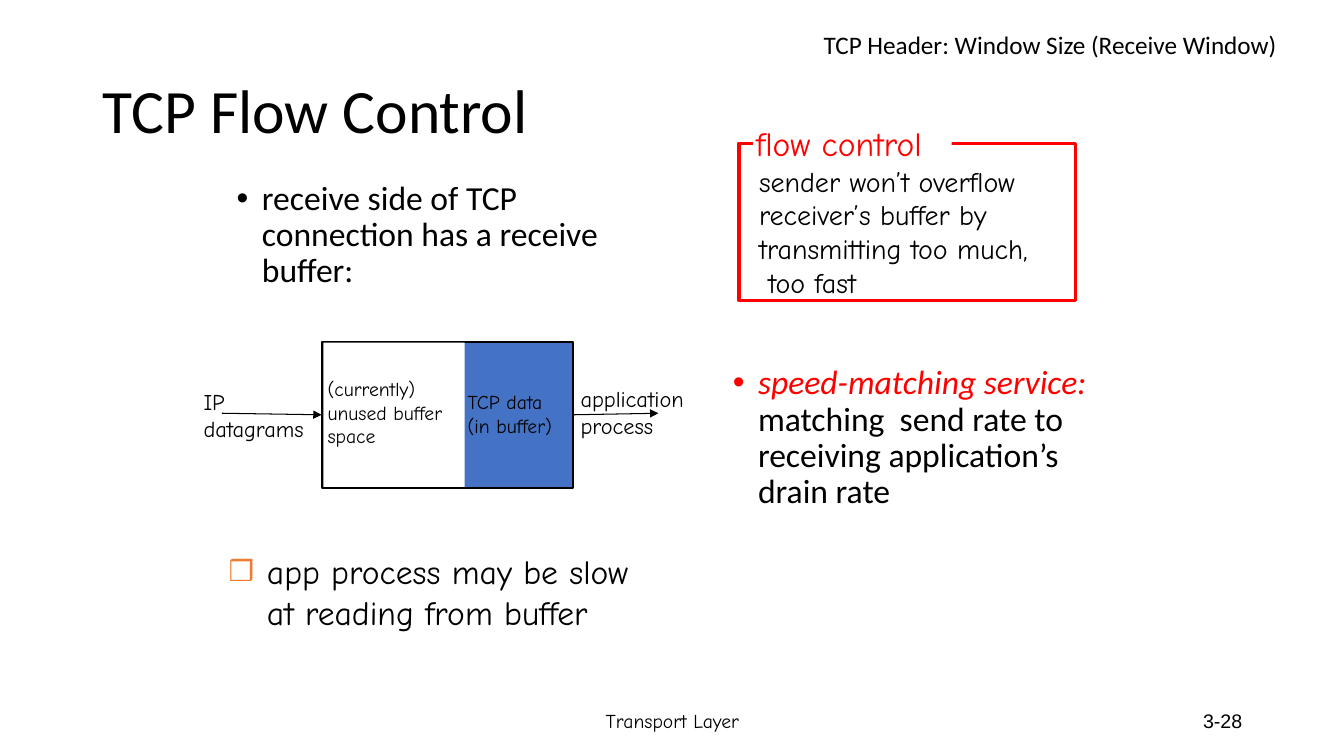
from dataclasses import dataclass

from lxml import etree
from pptx import Presentation
from pptx import util as u
from pptx.dml.color import RGBColor
from pptx.enum import shapes, text
from pptx.oxml import ns


@dataclass(frozen=True)
class Theme:
    black: str = "000000"
    white: str = "FFFFFF"
    red: str = "FF0000"
    blue: str = "4472C4"
    orange: str = "ED7D31"
    body_font: str = "Calibri"
    note_font: str = "Comic Neue"
    number_font: str = "Arial"
    title: int = 44
    body: int = 24
    definition: int = 20
    header: int = 18
    flow: int = 16
    small: int = 14


THEME = Theme()
ALIGN = text.PP_ALIGN
MIDDLE = text.MSO_ANCHOR.MIDDLE
LEFT_SIDE, RIGHT_SIDE = 3, 1


def inches(values):
    return [u.Inches(value) for value in values]


def set_values(target, values):
    for name, value in values.items():
        setattr(target, name, value)


def add_span(para, words, size, font, color=THEME.black, italic=False):
    span = para.add_run()
    span.text = words
    set_values(span.font, {"size": u.Pt(size), "name": font, "italic": italic})
    span.font.color.rgb = RGBColor.from_string(color)


def add_text(page, place, lines, size, font, color=THEME.black, wrap=True,
             anchor=text.MSO_ANCHOR.TOP, align=ALIGN.LEFT):
    frame = page.shapes.add_textbox(*inches(place)).text_frame
    set_values(frame, {"word_wrap": wrap, "vertical_anchor": anchor})
    for index, words in enumerate(lines):
        para = frame.add_paragraph() if index else frame.paragraphs[0]
        para.alignment = align
        add_span(para, words, size, font, color)


def add_bullet(page, place, spans, font, mark, indent, spacing, color, percent=100):
    frame = page.shapes.add_textbox(*inches(place)).text_frame
    frame.word_wrap = True
    para = frame.paragraphs[0]
    set_values(para, spacing)
    for words, span_color, italic in spans:
        add_span(para, words, THEME.body, font, span_color, italic)
    properties = para._p.get_or_add_pPr()
    properties.set("marL", str(u.Inches(indent)))
    properties.set("indent", str(-u.Inches(indent)))
    bullet_color = etree.SubElement(properties, ns.qn("a:buClr"))
    etree.SubElement(bullet_color, ns.qn("a:srgbClr"), val=color)
    etree.SubElement(properties, ns.qn("a:buSzPct"), val=str(percent * 1000))
    etree.SubElement(properties, ns.qn("a:buFont"), typeface="Arial")
    etree.SubElement(properties, ns.qn("a:buChar"), char=mark)


def add_box(page, place, fill, line=None, width=0):
    box = page.shapes.add_shape(shapes.MSO_SHAPE.RECTANGLE, *inches(place))
    box.shadow.inherit = False
    box.fill.solid()
    box.fill.fore_color.rgb = RGBColor.from_string(fill)
    if line:
        box.line.color.rgb = RGBColor.from_string(line)
        box.line.width = u.Pt(width)
    else:
        box.line.fill.background()
    return box


def add_arrow(page, start, end):
    arrow = page.shapes.add_connector(shapes.MSO_CONNECTOR.STRAIGHT, *inches(start + end))
    arrow.line.color.rgb = RGBColor.from_string(THEME.black)
    arrow.line.width = u.Pt(0.75)
    etree.SubElement(arrow.line._get_or_add_ln(), ns.qn("a:tailEnd"), type="triangle")
    etree.SubElement(arrow._element.spPr, ns.qn("a:effectLst"))
    return arrow


def set_title(page, words):
    title = page.shapes.title
    left, top, width, height = inches((0.92, 0.4, 11.5, 1.45))
    set_values(title, {"left": left, "top": top, "width": width, "height": height})
    set_values(title.text_frame, {"vertical_anchor": MIDDLE, "word_wrap": True,
                                  "auto_size": text.MSO_AUTO_SIZE.NONE})
    para = title.text_frame.paragraphs[0]
    set_values(para, {"alignment": ALIGN.LEFT, "line_spacing": 0.9})
    add_span(para, words, THEME.title, THEME.body_font)


def add_points(page):
    spacing = {"line_spacing": 0.9, "space_before": u.Pt(10)}
    add_bullet(page, (2.25, 1.75, 4.17, 1.42),
               [("receive side of TCP connection has a receive buffer:", THEME.black, False)],
               THEME.body_font, "•", 0.25, spacing, THEME.black)
    add_bullet(page, (7.17, 3.58, 4.17, 3.17),
               [("speed-matching service:", THEME.red, True),
                (" matching  send rate to receiving application’s drain rate", THEME.black, False)],
               THEME.body_font, "•", 0.25, spacing, THEME.red)
    add_bullet(page, (2.17, 5.42, 4.17, 1.42),
               [("app process may be slow at reading from buffer", THEME.black, False)],
               THEME.note_font, "❒", 0.38, {"space_before": u.Pt(5)}, THEME.orange, 85)


def add_definition(page):
    add_box(page, (7.33, 1.42, 3.34, 1.56), THEME.white, THEME.red, 2.25)
    add_text(page, (7.43, 1.58, 3.14, 1.43),
             ["sender won’t overflow", "receiver’s buffer by",
              "transmitting too much,", " too fast"], THEME.definition, THEME.note_font)
    add_box(page, (7.47, 1.21, 1.97, 0.39), THEME.white)
    add_text(page, (7.4, 1.17, 2.07, 0.5), ["flow control"],
             THEME.body, THEME.note_font, THEME.red, wrap=False)


def add_buffer(page):
    buffer = add_box(page, (3.19, 3.39, 2.49, 1.45), THEME.blue, THEME.black, 1.5)
    add_box(page, (3.21, 3.4, 1.4, 1.43), THEME.white)
    add_arrow(page, (2.2, 4.1), (3.19, 4.11)).end_connect(buffer, RIGHT_SIDE)
    add_arrow(page, (5.68, 4.09), (6.53, 4.1)).begin_connect(buffer, LEFT_SIDE)
    for place, lines, size in (
        ((1.92, 3.8, 1.28, 0.64), ["IP", "datagrams"], THEME.flow),
        ((4.54, 3.82, 1.18, 0.57), ["TCP data", "(in buffer)"], THEME.small),
        ((3.15, 3.69, 1.51, 0.81), ["(currently)", "unused buffer", "space"], THEME.small),
        ((5.66, 3.77, 1.3, 0.64), ["application", "process"], THEME.flow),
    ):
        add_text(page, place, lines, size, THEME.note_font, wrap=False)


def main():
    deck = Presentation()
    set_values(deck, {"slide_width": u.Inches(13.33), "slide_height": u.Inches(7.5)})
    page = deck.slides.add_slide(deck.slide_layouts.get_by_name("Title Only"))
    set_title(page, "TCP Flow Control")
    add_points(page)
    add_definition(page)
    add_buffer(page)
    add_text(page, (8.07, 0.24, 4.75, 0.4), ["TCP Header: Window Size (Receive Window)"],
             THEME.header, THEME.body_font, wrap=False)
    add_text(page, (4.42, 6.95, 4.5, 0.4), ["Transport Layer"], THEME.small,
             THEME.note_font, anchor=MIDDLE, align=ALIGN.CENTER)
    add_text(page, (9.42, 6.95, 3, 0.4), ["3-28"], THEME.small,
             THEME.number_font, anchor=MIDDLE, align=ALIGN.RIGHT)
    deck.save("out.pptx")


if __name__ == "__main__":
    main()
